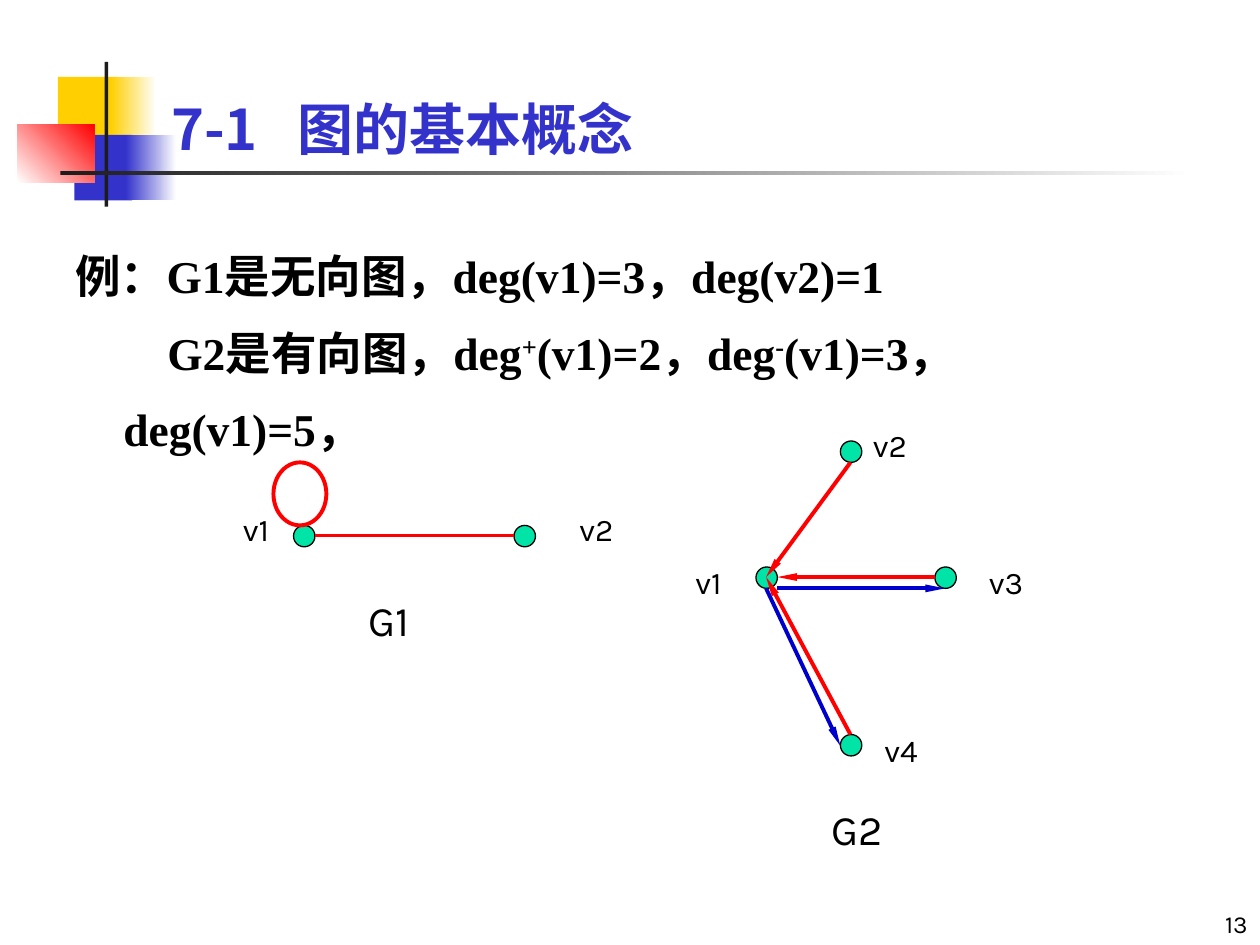
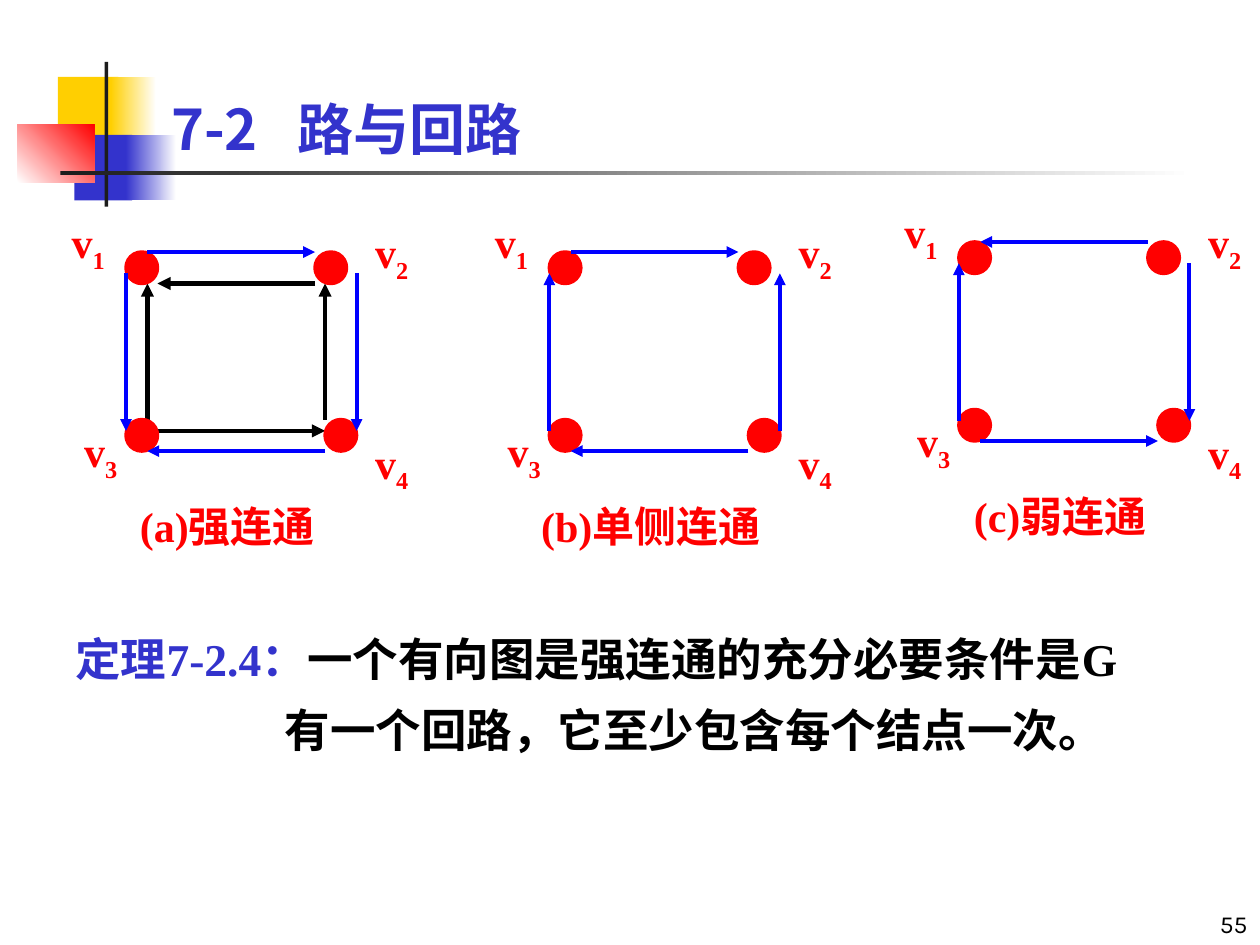
"""Build two graph theory slides: vertex degrees and directed connectivity."""
from pptx import Presentation
from pptx.dml.color import RGBColor
from pptx.enum.shapes import MSO_CONNECTOR as CONNECTOR, MSO_SHAPE as SHAPE
from pptx.enum.text import MSO_ANCHOR as ANCHOR, PP_ALIGN as ALIGN
from pptx.oxml.ns import qn
from pptx.util import Inches, Pt

BLACK = RGBColor(0x00, 0x00, 0x00)
WHITE = RGBColor(0xFF, 0xFF, 0xFF)
CHARCOAL = RGBColor(0x1C, 0x1C, 0x1C)
YELLOW = RGBColor(0xFF, 0xCF, 0x01)
INDIGO = RGBColor(0x33, 0x33, 0xCC)
RED = RGBColor(0xFF, 0x00, 0x00)
BLUE = RGBColor(0x00, 0x00, 0xFF)
NAVY = RGBColor(0x00, 0x00, 0xCC)
MINT = RGBColor(0x00, 0xE4, 0xA8)

SANS, SERIF, CJK = "Karla", "Times New Roman", "Noto Sans CJK SC"

DECORATION = [
    ((0.46, 0.61, 0.48, 0.52), [YELLOW], 0),
    ((0.88, 0.61, 0.36, 0.52), [YELLOW, WHITE], 0),
    ((0.59, 1.07, 0.46, 0.52), [INDIGO], 0),
    ((1, 1.07, 0.4, 0.52), [INDIGO, WHITE], 0),
    ((0.14, 0.99, 0.61, 0.46), [WHITE, RED], 45),
    ((0.83, 0.49, 0.03, 1.15), [CHARCOAL], 0),
    ((0.48, 1.36, 9, 0.03), [CHARCOAL, WHITE], 0),
]

CORNERS = [(0, 0), (1.5, 0), (0, 1.33), (1.58, 1.33)]
CORNER_LABELS = [(-0.58, -0.33), (1.83, -0.25), (-0.48, 1.33), (1.83, 1.42)]
OUTER_EDGES = {
    "left": ((0, 0.17), (0, 1.42)),
    "right": ((1.83, 0.17), (1.83, 1.42)),
    "bottom": ((1.58, 1.58), (0.17, 1.58)),
    "top": ((0.17, 0), (1.5, 0)),
}
INNER_EDGES = [
    ((1.5, 0.25), (0.25, 0.25)),
    ((0.17, 1.42), (0.17, 0.25)),
    ((0.17, 1.42), (1.58, 1.42)),
    ((1.58, 1.33), (1.58, 0.25)),
]


def shift(origin, offset):
    """Return the point at an offset from an origin."""
    return origin[0] + offset[0], origin[1] + offset[1]


def add_filled(page, kind, at, colors, angle=0, line=None, weight=1):
    """Add a preset shape with a solid or two-colour gradient fill."""
    shape = page.shapes.add_shape(kind, *map(Inches, at))
    shape.shadow.inherit = False
    if len(colors) == 1:
        shape.fill.solid()
        shape.fill.fore_color.rgb = colors[0]
    else:
        shape.fill.gradient()
        shape.fill.gradient_angle = angle
        for stop, color in zip(shape.fill.gradient_stops, colors):
            stop.color.rgb = color
    if line is None:
        shape.line.fill.background()
    else:
        shape.line.color.rgb = line
        shape.line.width = Pt(weight)


def add_line(page, start, end, color, weight=2.25, arrow=None):
    """Add a straight line; arrow is the (width, length) of its end head."""
    points = map(Inches, (*start, *end))
    line = page.shapes.add_connector(CONNECTOR.STRAIGHT, *points)
    line.line.color.rgb = color
    line.line.width = Pt(weight)
    properties = line._element.spPr
    if arrow:
        head = properties.find(qn("a:ln")).makeelement(
            qn("a:tailEnd"), {"type": "triangle", "w": arrow[0], "len": arrow[1]})
        properties.find(qn("a:ln")).append(head)
    properties.append(properties.makeelement(qn("a:effectLst"), {}))


def add_frame(page, at, anchor=ANCHOR.TOP):
    """Add a wrapping text box and return its text frame."""
    frame = page.shapes.add_textbox(*map(Inches, at)).text_frame
    frame.word_wrap = True
    frame.vertical_anchor = anchor
    return frame


def write(para, spans, font, size, bold=False):
    """Fill a paragraph with (text, colour, baseline percent) spans."""
    for text, color, baseline in spans:
        span = para.add_run()
        span.text = text
        span.font.name = font
        span.font.size = Pt(size)
        span.font.bold = bold
        span.font.color.rgb = color
        properties = span.font._element
        if baseline:
            properties.set("baseline", str(baseline * 1000))
        east_asian = properties.makeelement(qn("a:ea"), {"typeface": CJK})
        properties.find(qn("a:latin")).addnext(east_asian)


def indent(para, left, first, spacing):
    """Set left margin, first-line indent and line spacing."""
    properties = para._p.get_or_add_pPr()
    properties.set("marL", str(Inches(left)))
    properties.set("indent", str(Inches(first)))
    para.line_spacing = spacing


def add_label(page, at, text, size=18):
    """Add a plain graph label."""
    para = add_frame(page, at).paragraphs[0]
    para.space_before = Pt(size * 0.625)
    write(para, [(text, BLACK, 0)], SANS, size)


def add_red_label(page, at, text, subscript=""):
    """Add a centred bold red label with an optional subscript."""
    para = add_frame(page, at).paragraphs[0]
    para.alignment = ALIGN.CENTER
    para.space_before = Pt(15)
    spans = [(text, RED, 0)]
    if subscript:
        spans.append((subscript, RED, -25))
    write(para, spans, SERIF, 24, bold=True)


def add_page(deck, title, number):
    """Add a slide with the shared decoration, title and page number."""
    page = deck.slides.add_slide(deck.slide_layouts[6])
    for at, colors, angle in DECORATION:
        add_filled(page, SHAPE.RECTANGLE, at, colors, angle)
    para = add_frame(page, (7.92, 7, 2.08, 0.5), ANCHOR.BOTTOM).paragraphs[0]
    para.alignment = ALIGN.RIGHT
    write(para, [(number, BLACK, 0)], SANS, 14)
    heading = add_frame(page, (1.26, 0.08, 8.52, 1.25), ANCHOR.BOTTOM)
    write(heading.paragraphs[0], [(title, INDIGO, 0)], CJK, 32, bold=True)
    return page


def add_vertex(page, at):
    """Add a small green vertex."""
    add_filled(page, SHAPE.OVAL, (*at, 0.17, 0.17), [MINT], line=BLACK, weight=0.75)


def add_undirected_graph(page):
    """Draw G1 with its loop and its single edge."""
    for left in (2.33, 4.08):
        add_vertex(page, (left, 4.17))
    for text, left in (("v1", 1.83), ("v2", 4.5)):
        add_label(page, (left, 4, 0.5, 0.4), text)
    add_line(page, (2.5, 4.25), (4.08, 4.25), RED)
    add_filled(page, SHAPE.OVAL, (2.17, 3.67, 0.42, 0.5), [WHITE], line=RED, weight=2.25)
    add_label(page, (2.83, 4.67, 0.67, 0.5), "G1", 24)


def add_directed_graph(page):
    """Draw G2 with edges into v1 in red and out of v1 in blue."""
    for vertex in ((6, 4.5), (7.42, 4.5), (6.67, 5.83), (6.67, 3.5)):
        add_vertex(page, vertex)
    labels = {"v1": (5.42, 4.42), "v2": (6.83, 3.33), "v3": (7.75, 4.42), "v4": (6.92, 5.75)}
    for text, place in labels.items():
        add_label(page, (*place, 0.5, 0.4), text)
    edges = [
        ((6.75, 5.83), (6.08, 4.58), RED),
        ((6.75, 3.67), (6.08, 4.58), RED),
        ((7.42, 4.58), (6.17, 4.58), RED),
        ((6.17, 4.67), (7.5, 4.67), NAVY),
        ((6.08, 4.67), (6.67, 5.92), NAVY),
    ]
    for start, end, color in edges:
        add_line(page, start, end, color, arrow=("sm", "lg"))
    add_label(page, (6.5, 6.33, 0.83, 0.5), "G2", 24)


def add_square_graph(page, origin, caption, reversed_edges=(), inner_edges=()):
    """Draw a four-vertex directed graph with its labels and caption."""
    for start, end in inner_edges:
        add_line(page, shift(origin, start), shift(origin, end), BLACK, 2.5, ("med", "med"))
    for corner in CORNERS:
        add_filled(page, SHAPE.OVAL, (*shift(origin, corner), 0.25, 0.25), [RED],
                   line=RED, weight=2)
    for number, place in enumerate(CORNER_LABELS, 1):
        add_red_label(page, (*shift(origin, place), 0.56, 0.56), "v", str(number))
    for side, edge in OUTER_EDGES.items():
        start, end = reversed(edge) if side in reversed_edges else edge
        add_line(page, shift(origin, start), shift(origin, end), BLUE, arrow=("med", "med"))
    add_red_label(page, (*shift(origin, (-0.28, 1.92)), 2.17, 0.5), caption)


def build_degrees(deck):
    """Build the slide on vertex degrees."""
    page = add_page(deck, "7-1\t图的基本概念", "13")
    body = add_frame(page, (0.5, 1.75, 8.92, 4.5))
    undirected, directed = body.paragraphs[0], body.add_paragraph()
    indent(undirected, 0.38, -0.38, 1.4)
    write(undirected, [("例：G1是无向图，deg(v1)=3，deg(v2)=1", BLACK, 0)], SERIF, 26, bold=True)
    indent(directed, 0.38, 0.35, 1.4)
    write(directed, [
        ("G2是有向图，deg", BLACK, 0),
        ("+", BLACK, 30),
        ("(v1)=2，deg", BLACK, 0),
        ("-", BLACK, 30),
        ("(v1)=3，deg(v1)=5，", BLACK, 0),
    ], SERIF, 26, bold=True)
    add_undirected_graph(page)
    add_directed_graph(page)


def build_connectivity(deck):
    """Build the slide on the three kinds of connectivity."""
    page = add_page(deck, "7-2\t路与回路", "55")
    add_square_graph(page, (1, 2), "(a)强连通", inner_edges=INNER_EDGES)
    add_square_graph(page, (4.36, 2), "(b)单侧连通", ("left", "right"))
    add_square_graph(page, (7.61, 1.92), "(c)弱连通", ("left", "bottom", "top"))
    theorem = add_frame(page, (0.5, 4.83, 8.75, 1.23)).paragraphs[0]
    indent(theorem, 1.66, -1.66, 1.3)
    write(theorem, [
        ("定理7-2.4：", INDIGO, 0),
        ("一个有向图是强连通的充分必要条件是G有一个回路，它至少包含每个结点一次。", BLACK, 0),
    ], SERIF, 26, bold=True)


def main():
    """Build and save the deck."""
    deck = Presentation()
    deck.slide_width, deck.slide_height = Inches(10), Inches(7.5)
    build_degrees(deck)
    build_connectivity(deck)
    deck.save("out.pptx")


if __name__ == "__main__":
    main()
